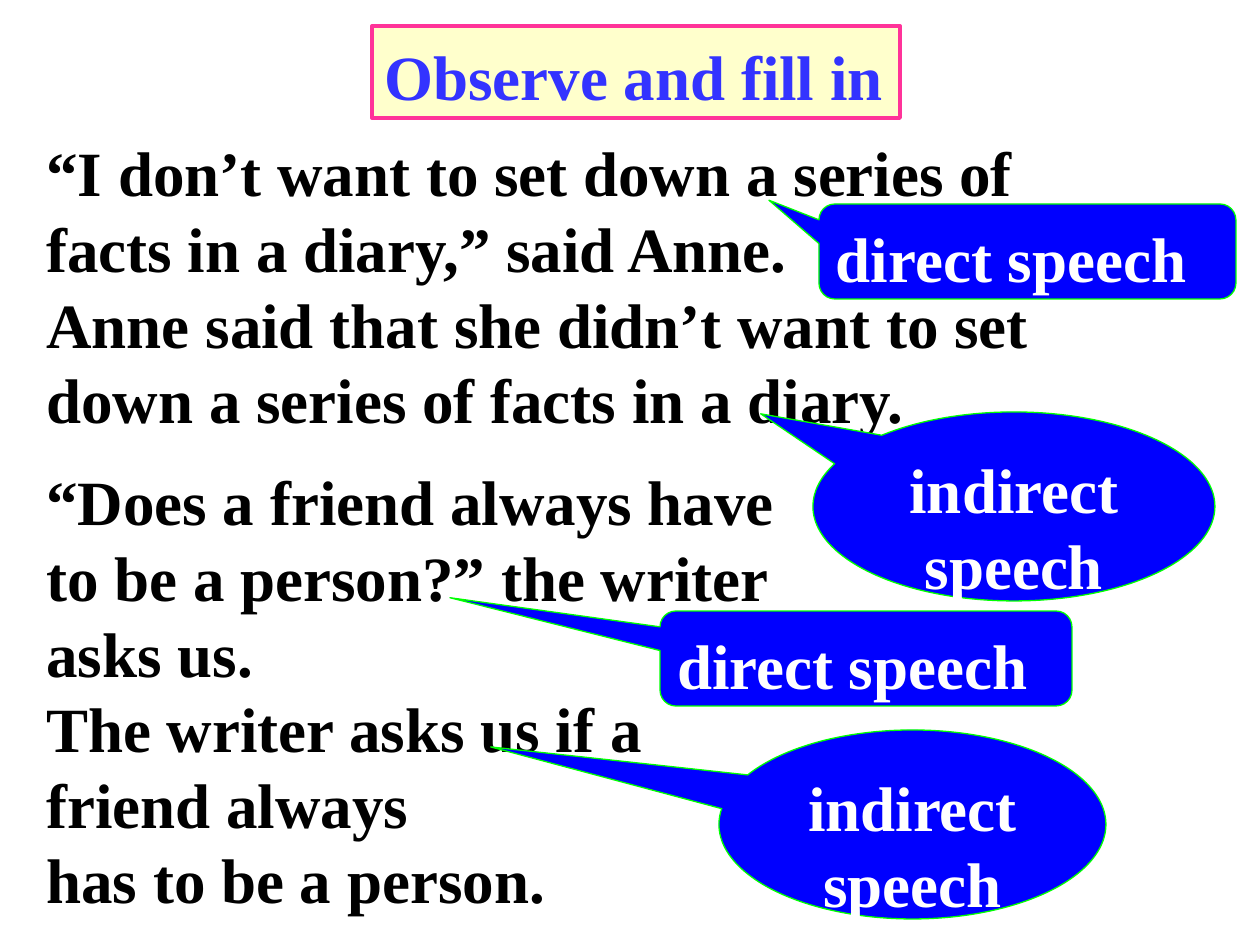
from pptx import Presentation
from pptx import util as u
from pptx.dml.color import RGBColor
from pptx.enum import shapes, text

PX = 914400 / 126  # EMU per px


def colour(hex_code):
    return RGBColor.from_string(hex_code)


def write(shape, lines, hex_code, align=text.PP_ALIGN.LEFT, wrap=True):
    frame = shape.text_frame
    frame.word_wrap = wrap
    frame.vertical_anchor = text.MSO_ANCHOR.TOP
    frame.margin_top = u.Emu(round(11 * PX))
    frame.text = "\n".join(lines)
    for paragraph in frame.paragraphs:
        paragraph.alignment = align
        paragraph.line_spacing = u.Pt(43.2)
        paragraph.font.name = "Times New Roman"
        paragraph.font.size = u.Pt(36)
        paragraph.font.bold = True
        paragraph.font.color.rgb = colour(hex_code)


prs = Presentation()
prs.slide_width, prs.slide_height = u.Inches(10), u.Inches(7.5)
slide = prs.slides.add_slide(prs.slide_layouts[6])

statement = [
    "“I don’t want to set down a series of",
    "facts in a diary,” said Anne.",
    "Anne said that she didn’t want to set",
    "down a series of facts in a diary.",
]
question = [
    "“Does a friend always have",
    "to be a person?” the writer",
    "asks us.",
    "The writer asks us if a",
    "friend always",
    "has to be a person.",
]
for box, lines in [((34, 123, 1071, 315), statement), ((34, 452, 753, 466), question)]:
    example = slide.shapes.add_textbox(*[round(v * PX) for v in box])
    write(example, lines, "000000")

ROUND = shapes.MSO_SHAPE.ROUNDED_RECTANGULAR_CALLOUT
OVAL = shapes.MSO_SHAPE.OVAL_CALLOUT
LEFT, CENTER = text.PP_ALIGN.LEFT, text.PP_ALIGN.CENTER
# outline, box, pointer tip relative to the centre, label, alignment, fill, line, width, text colour
BLUE = ("0000FF", "00FF00", 0.75, "FFFFFF")
CREAM = ("FFFFCC", "FF3399", 2.25, "3333FF")
labels = [
    (ROUND, (819, 204, 417, 95), (-0.62, -0.54), "direct speech", LEFT, BLUE),
    (OVAL, (813, 412, 402, 189), (-0.63, -0.49), "indirect speech", CENTER, BLUE),
    (OVAL, (719, 730, 387, 189), (-1.09, -0.41), "indirect speech", CENTER, BLUE),
    (ROUND, (660, 611, 412, 95), (-1.01, -0.64), "direct speech", LEFT, BLUE),
    (shapes.MSO_SHAPE.RECTANGLE, (372, 26, 528, 92), (), "Observe and fill in", LEFT, CREAM),
]
for outline, box, tip, label, align, (fill, line, width, ink) in labels:
    panel = slide.shapes.add_shape(outline, *[round(v * PX) for v in box])
    panel.shadow.inherit = False
    for i, offset in enumerate(tip):
        panel.adjustments[i] = offset
    panel.fill.solid()
    panel.fill.fore_color.rgb = colour(fill)
    panel.line.color.rgb = colour(line)
    panel.line.width = u.Pt(width)
    write(panel, [label], ink, align, wrap=bool(tip))

prs.save("out.pptx")
